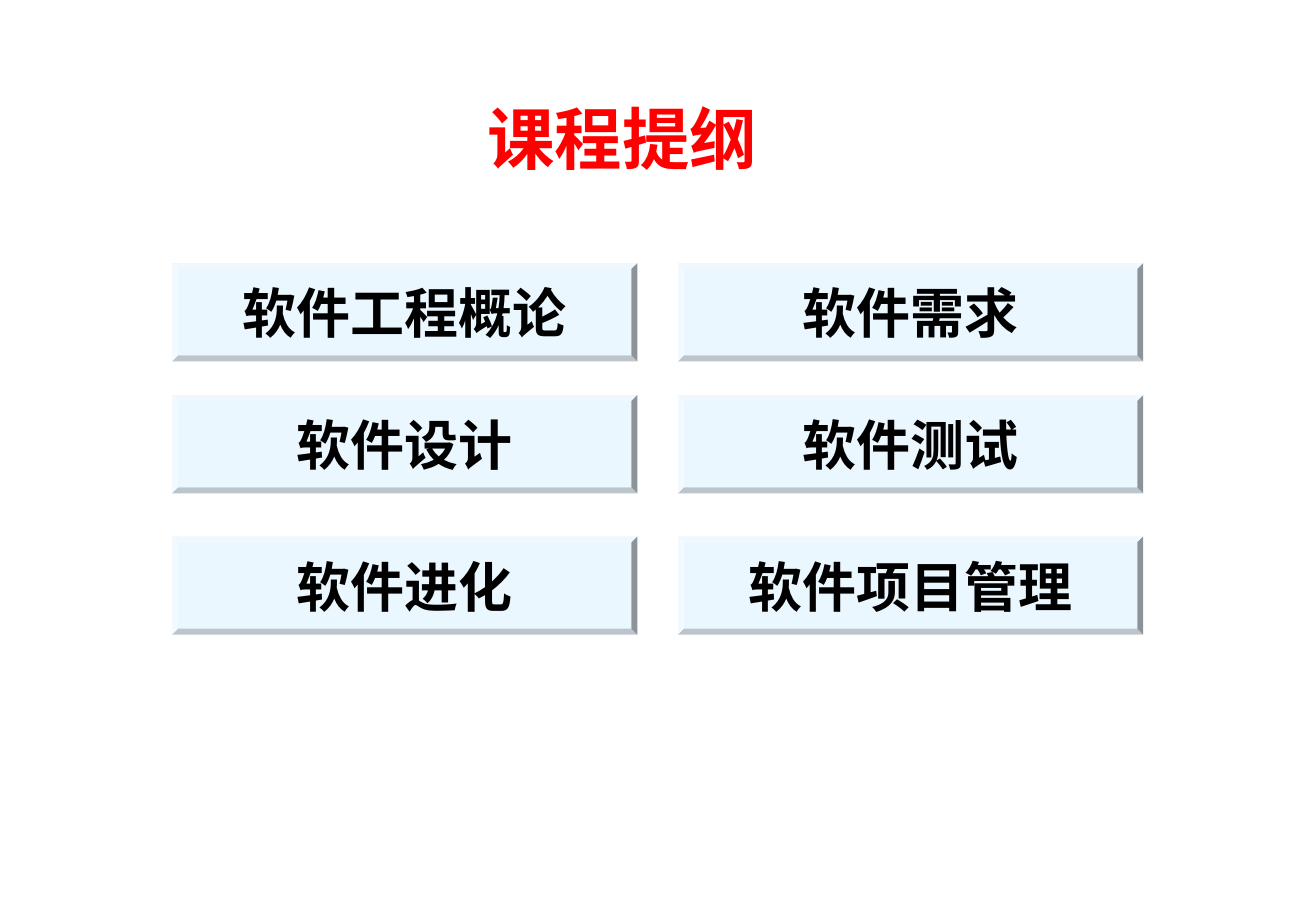
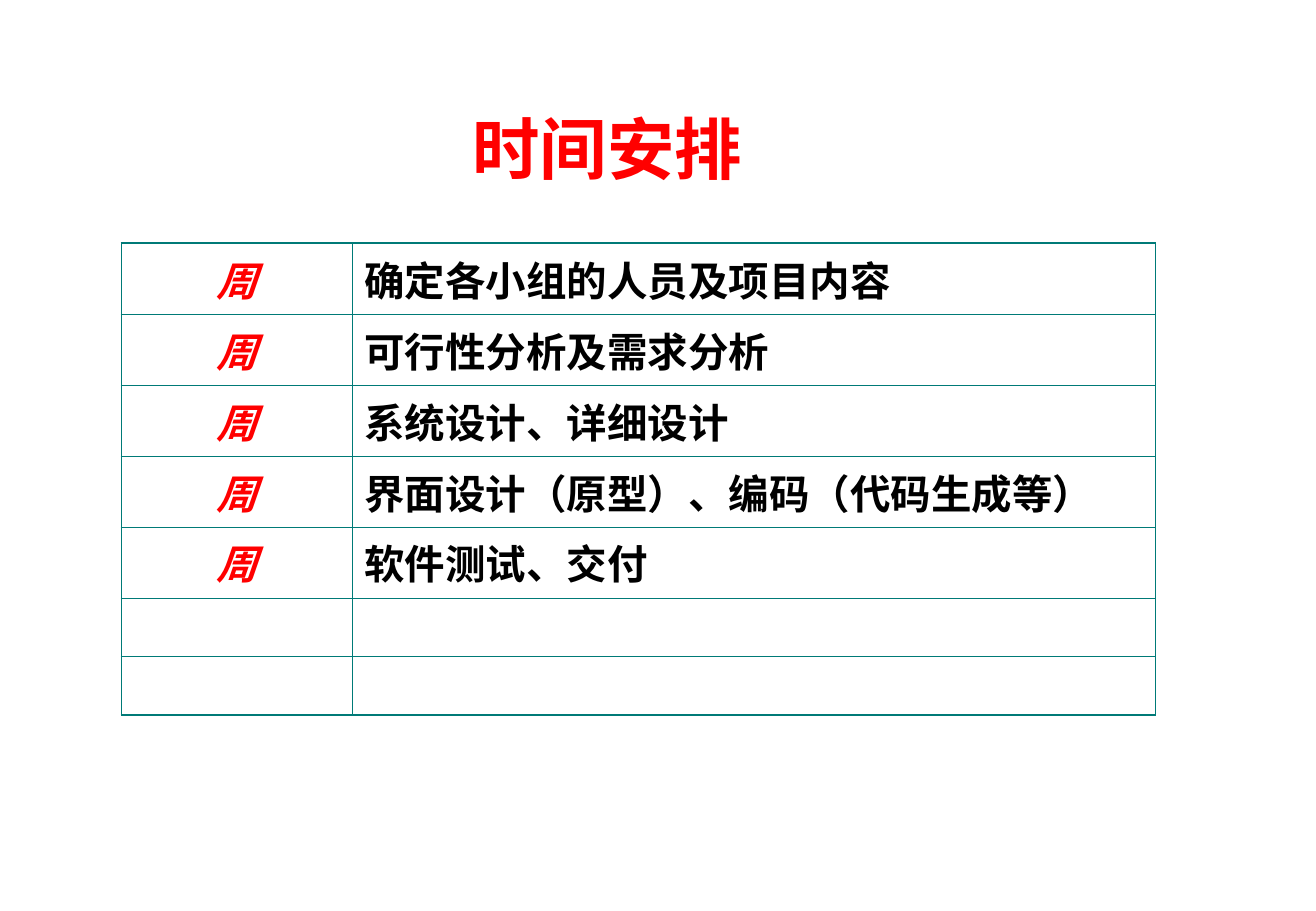
"""Build a course outline slide and a schedule slide."""
import dataclasses

import pptx
import pptx.dml.color
import pptx.enum.shapes
import pptx.enum.text
import pptx.oxml
import pptx.oxml.ns
import pptx.util

Pt = pptx.util.Pt
RGB = pptx.dml.color.RGBColor.from_string
ALIGN = pptx.enum.text.PP_ALIGN
ANCHOR = pptx.enum.text.MSO_ANCHOR


@dataclasses.dataclass(frozen=True)
class Theme:
    accent: str = "FF0000"
    ink: str = "000000"
    button: str = "EBF7FF"
    border: str = "007A77"
    sans: str = "Arial"
    serif: str = "Times New Roman"
    title_size: float = 40
    button_size: float = 32
    table_size: float = 24
    outer_line: float = 1.08
    inner_line: float = 0.45


theme = Theme()


def write(tf, text, color, align, before=0, **font):
    p = tf.paragraphs[0]
    p.alignment = align
    p.space_before = Pt(before)
    r = p.add_run()
    r.text = text
    r.font.color.rgb = RGB(color)
    for name, value in {"bold": True, "name": theme.sans, **font}.items():
        setattr(r.font, name, value)


def add_titled_slide(prs, text, left, top, width, font_name):
    s = prs.slides.add_slide(prs.slide_layouts[5])
    sp = s.shapes.title
    box = {"left": left, "top": top, "width": width, "height": 66}
    for name, value in box.items():
        setattr(sp, name, Pt(value))
    tf = sp.text_frame
    frame = {"word_wrap": True, "vertical_anchor": ANCHOR.TOP,
             "auto_size": pptx.enum.text.MSO_AUTO_SIZE.NONE}
    for name, value in frame.items():
        setattr(tf, name, value)
    write(tf, text, theme.accent, ALIGN.CENTER, 10,
          size=Pt(theme.title_size), name=font_name)
    return s


prs = pptx.Presentation()
prs.slide_width, prs.slide_height = Pt(780.48), Pt(540)

s = add_titled_slide(prs, "课程提纲", 36, 54, 666, theme.serif)
topics = [
    (156, ("软件工程概论", "软件需求")),
    (234.2, ("软件设计", "软件测试")),
    (318, ("软件进化", "软件项目管理")),
]
for top, labels in topics:
    for col, label in enumerate(labels):
        sp = s.shapes.add_shape(pptx.enum.shapes.MSO_SHAPE.BEVEL,
                                Pt(102 + 300 * col), Pt(top), Pt(276), Pt(58.2))
        sp.adjustments[0] = 0.06
        sp.shadow.inherit = False
        sp.fill.solid()
        sp.fill.fore_color.rgb = RGB(theme.button)
        sp.line.fill.background()
        tf = sp.text_frame
        tf.word_wrap = False
        tf.vertical_anchor = ANCHOR.MIDDLE
        write(tf, label, theme.ink, ALIGN.CENTER, size=Pt(theme.button_size))

s = add_titled_slide(prs, "时间安排", 60, 60, 600, theme.sans)
tasks = [
    "确定各小组的人员及项目内容",
    "可行性分析及需求分析",
    "系统设计、详细设计",
    "界面设计（原型）、编码（代码生成等）",
    "软件测试、交付",
    "",
    "",
]
col_widths = (137, 476.4)
row_heights = [36 if task else 34.8 for task in tasks]
table = s.shapes.add_table(len(tasks), len(col_widths), Pt(72), Pt(144.2),
                           Pt(sum(col_widths)), Pt(sum(row_heights))).table
table.first_row = table.horz_banding = False
for col, width in zip(table.columns, col_widths):
    col.width = Pt(width)
for i, task in enumerate(tasks):
    table.rows[i].height = Pt(row_heights[i])
    texts = (("周", theme.accent, ALIGN.CENTER, True),
             (task, theme.ink, ALIGN.LEFT, False))
    for j, (text, color, align, italic) in enumerate(texts):
        cell = table.cell(i, j)
        outer = {"L": j == 0, "R": j == len(col_widths) - 1,
                 "T": i == 0, "B": i == len(tasks) - 1}
        tcPr = cell._tc.get_or_add_tcPr()
        for side, is_outer in outer.items():
            width = Pt(theme.outer_line if is_outer else theme.inner_line)
            tcPr.append(pptx.oxml.parse_xml(
                f'<a:ln{side} {pptx.oxml.ns.nsdecls("a")} w="{width}"><a:solidFill>'
                f'<a:srgbClr val="{theme.border}"/></a:solidFill></a:ln{side}>'))
        cell.fill.background()
        if task:
            write(cell.text_frame, text, color, align, 6,
                  size=Pt(theme.table_size), italic=italic)

prs.save("out.pptx")
